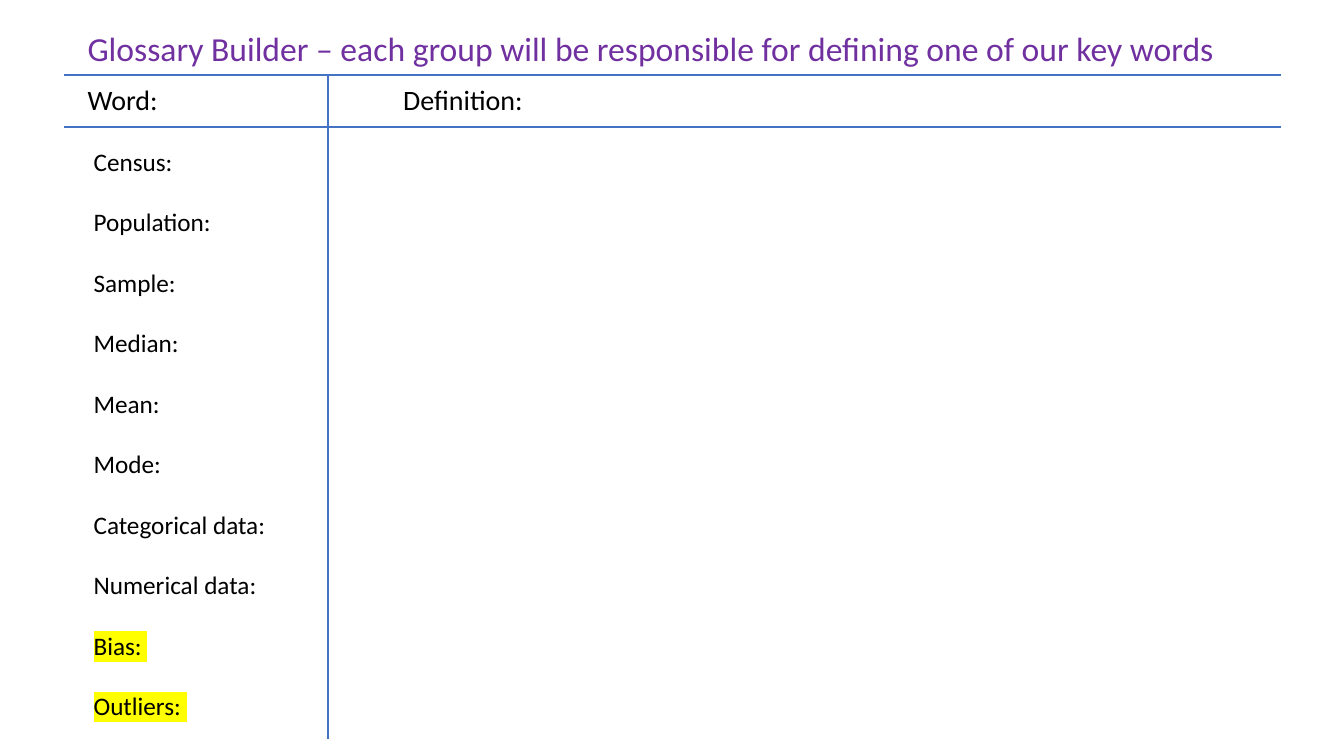
from lxml import etree
from pptx import Presentation
from pptx.dml.color import RGBColor
from pptx.enum import shapes, text
from pptx.oxml.ns import qn
from pptx.util import Inches, Pt

PURPLE = RGBColor(0x70, 0x30, 0xA0)
BLUE = RGBColor(0x44, 0x72, 0xC4)
BLACK = RGBColor(0, 0, 0)
YELLOW = RGBColor(0xFF, 0xFF, 0x00)

WORDS = ["Census:", "Population:", "Sample:", "Median:", "Mean:", "Mode:",
         "Categorical data:", "Numerical data:"]
HIGHLIGHTED_WORDS = ["Bias: ", "Outliers: "]

TABLE_LEFT, TABLE_RIGHT, TABLE_BOTTOM = 0.63, 12.71, 7.33
HEADER_TOP, HEADER_BOTTOM = 0.74, 1.26
DIVIDER_X = 3.25


class GlossarySlide:
    font_name = "Calibri"
    line_width = Pt(1.5)

    def __init__(self, deck):
        self.page = deck.slides.add_slide(deck.slide_layouts[6])

    def text_box(self, left, top, width, height, lines, size, color=BLACK,
                 gap=0, highlighted=()):
        """Add one paragraph per line, separated by gap points."""
        box = self.page.shapes.add_textbox(
            Inches(left), Inches(top), Inches(width), Inches(height))
        frame = box.text_frame
        frame.word_wrap = True
        frame.auto_size = text.MSO_AUTO_SIZE.SHAPE_TO_FIT_TEXT
        for index, line in enumerate(lines):
            para = frame.paragraphs[0] if index == 0 else frame.add_paragraph()
            para.space_before = Pt(gap if index else 0)
            span = para.add_run()
            span.text = line
            span.font.name = self.font_name
            span.font.size = Pt(size)
            span.font.color.rgb = color
            if line in highlighted:
                self.highlight(span)

    def highlight(self, span):
        marker = etree.Element(qn("a:highlight"))
        etree.SubElement(marker, qn("a:srgbClr"), val=str(YELLOW))
        span.font._element.find(qn("a:solidFill")).addnext(marker)

    def rule(self, x1, y1, x2, y2):
        line = self.page.shapes.add_connector(
            shapes.MSO_CONNECTOR.STRAIGHT,
            Inches(x1), Inches(y1), Inches(x2), Inches(y2))
        line.line.color.rgb = BLUE
        line.line.width = self.line_width
        etree.SubElement(line._element.spPr, qn("a:effectLst"))


def main():
    deck = Presentation()
    deck.slide_width, deck.slide_height = Inches(13.33), Inches(7.5)
    slide = GlossarySlide(deck)

    slide.text_box(0.77, 0.23, 11.79, 0.5,
                   ["Glossary Builder – each group will be responsible "
                    "for defining one of our key words"], 24, PURPLE)
    for left, width, heading in [(0.77, 3.63, "Word:"),
                                 (3.9, 2.67, "Definition:")]:
        slide.text_box(left, 0.77, width, 0.44, [heading], 20)

    for y in (HEADER_TOP, HEADER_BOTTOM):
        slide.rule(TABLE_LEFT, y, TABLE_RIGHT, y)
    slide.rule(DIVIDER_X, HEADER_TOP, DIVIDER_X, TABLE_BOTTOM)

    slide.text_box(0.83, 1.4, 2.22, 6.77, WORDS + HIGHLIGHTED_WORDS, 18,
                   gap=21.6, highlighted=HIGHLIGHTED_WORDS)
    deck.save("out.pptx")


if __name__ == "__main__":
    main()
